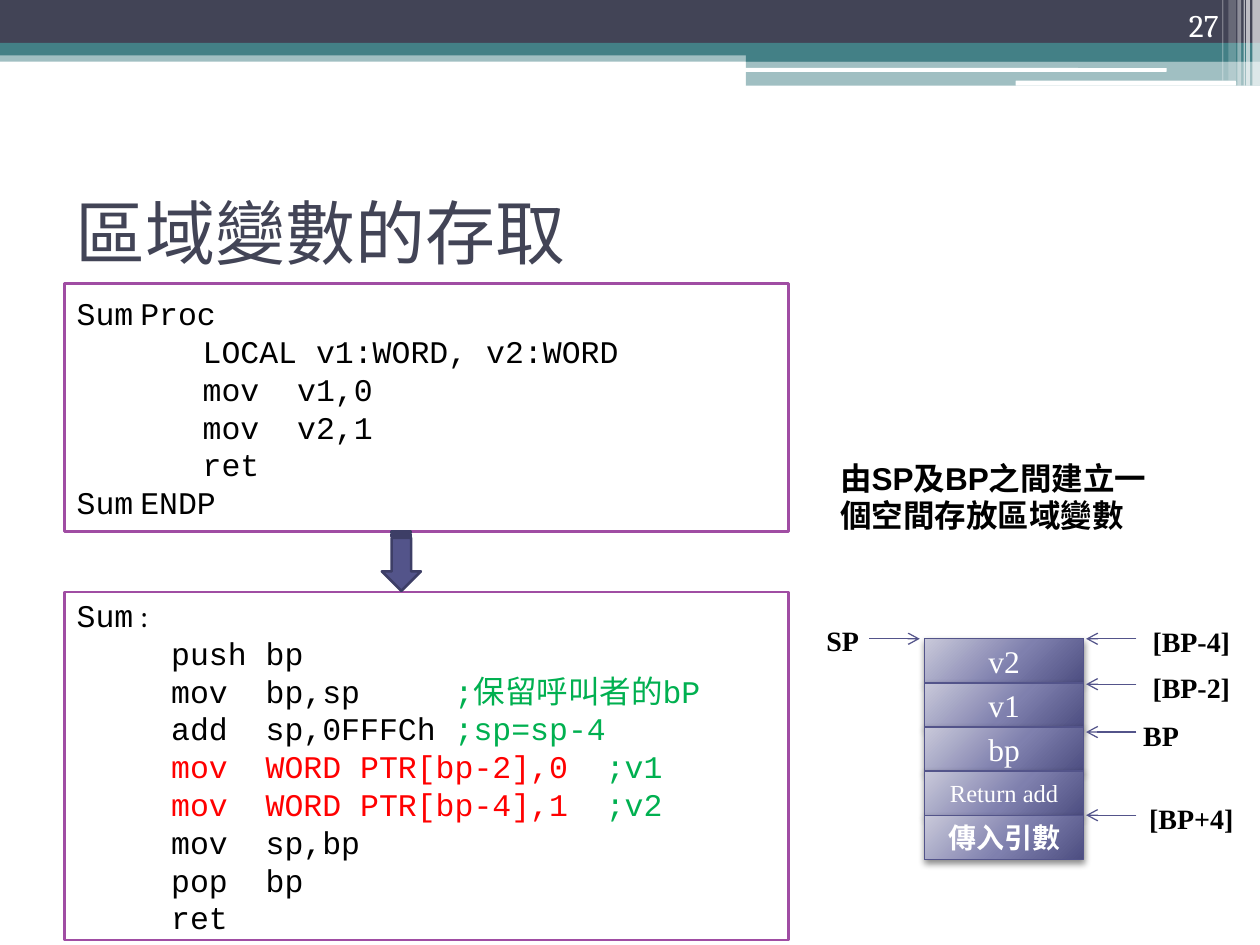
from typing import NamedTuple

from lxml.etree import SubElement
from pptx import Presentation
from pptx.dml.color import RGBColor
from pptx.enum.shapes import MSO_CONNECTOR, MSO_SHAPE
from pptx.enum.text import MSO_ANCHOR, PP_ALIGN
from pptx.oxml import parse_xml
from pptx.oxml.ns import nsdecls, qn
from pptx.util import Inches, Pt

COLORS = {
    "navy": "424456", "teal": "438086", "white": "FFFFFF", "black": "000000",
    "plum": "A04DA3", "red": "FF0000", "green": "00B050",
    "blue": "53548A", "edge": "3D3E66",
}
MONO, SERIF, TIMES = "Courier New", "Cambria", "Times New Roman"


class Bar(NamedTuple):
    x: float
    y: float
    w: float
    h: float
    color: str
    alpha: int = 100
    kind: MSO_SHAPE = MSO_SHAPE.RECTANGLE


class Cell(NamedTuple):
    text: str
    size: int = 18
    bold: bool = False


class Mark(NamedTuple):
    text: str
    y: float
    x: float = 9.02
    w: float = 0.87


class Part(NamedTuple):
    text: str
    color: str = "black"
    font: str = MONO


def tint(name: str) -> RGBColor:
    return RGBColor.from_string(COLORS[name])


def style(run, size: int, color: str, font: str, bold: bool = False) -> None:
    run.font.size, run.font.name, run.font.bold = Pt(size), font, bold
    run.font.color.rgb = tint(color)


def add_box(kind: MSO_SHAPE, x: float, y: float, w: float, h: float,
            color: str, edge: str = "", width: float = 1.5):
    box = slide.shapes.add_shape(kind, Inches(x), Inches(y), Inches(w), Inches(h))
    box.shadow.inherit = False
    box.fill.solid()
    box.fill.fore_color.rgb = tint(color)
    if edge:
        box.line.color.rgb = tint(edge)
        box.line.width = Pt(width)
    else:
        box.line.fill.background()
    return box


def add_bar(bar: Bar) -> None:
    box = add_box(bar.kind, bar.x, bar.y, bar.w, bar.h, bar.color)
    if bar.alpha < 100:
        hue = box.fill._xPr.find(".//" + qn("a:srgbClr"))
        SubElement(hue, qn("a:alpha"), val=str(bar.alpha * 1000))


def add_text(text: str, x: float, y: float, w: float, h: float, size: int,
             font: str, color: str = "black", bold: bool = True,
             align: PP_ALIGN = PP_ALIGN.LEFT, wrap: bool = False):
    frame = slide.shapes.add_textbox(
        Inches(x), Inches(y), Inches(w), Inches(h)).text_frame
    frame.word_wrap = wrap
    frame.text = text
    frame.paragraphs[0].alignment = align
    style(frame.paragraphs[0].runs[0], size, color, font, bold)
    return frame


def add_code(y: float, h: float, lines: list[list[Part]], stops: list[float]) -> None:
    frame = add_box(MSO_SHAPE.RECTANGLE, 0.51, y, 5.75, h, "white", "plum").text_frame
    frame.vertical_anchor = MSO_ANCHOR.MIDDLE
    for i, line in enumerate(lines):
        para = frame.add_paragraph() if i else frame.paragraphs[0]
        para.alignment = PP_ALIGN.LEFT
        para.line_spacing = Pt(21.6)
        # Comments after the long operands use the last stop
        far = any(part.color == "red" for part in line)
        tabs = SubElement(para._p.get_or_add_pPr(), qn("a:tabLst"))
        for stop in stops[:2] + (stops[3:] if far else stops[2:3]):
            SubElement(tabs, qn("a:tab"), pos=str(Inches(stop)), algn="l")
        for part in line:
            run = para.add_run()
            run.text = part.text
            style(run, 18, part.color, part.font)


def add_cell(cell: Cell, y: float) -> None:
    box = add_box(MSO_SHAPE.RECTANGLE, 7.34, y, 1.26, 0.35, "blue", "blue", 0.75)
    props = box._element.spPr
    stops = "".join(
        f'<a:gs pos="{pos}000"><a:srgbClr val="{hue}"/></a:gs>'
        for pos, hue in ((0, "C9C9DA"), (55, "7F80AE"), (100, "4D4E81")))
    props.replace(props.find(qn("a:solidFill")), parse_xml(
        f'<a:gradFill {nsdecls("a")} rotWithShape="1"><a:gsLst>{stops}</a:gsLst>'
        '<a:path path="circle"><a:fillToRect l="-40000" t="-90000" '
        'r="140000" b="190000"/></a:path></a:gradFill>'))
    glow = SubElement(props.find(qn("a:effectLst")), qn("a:outerShdw"),
                      blurRad=str(Pt(4)), dist=str(Pt(2)), dir="5400000",
                      algn="ctr", rotWithShape="0")
    SubElement(SubElement(glow, qn("a:srgbClr"), val=COLORS["black"]),
               qn("a:alpha"), val="45000")
    frame = box.text_frame
    frame.text = cell.text
    frame.vertical_anchor = MSO_ANCHOR.MIDDLE
    frame.paragraphs[0].alignment = PP_ALIGN.CENTER
    style(frame.paragraphs[0].runs[0], cell.size, "white", TIMES, cell.bold)


def add_arrow(start: float, end: float, y: float) -> None:
    line = slide.shapes.add_connector(
        MSO_CONNECTOR.STRAIGHT, Inches(start), Inches(y), Inches(end), Inches(y))
    line.line.color.rgb = tint("blue")
    line.line.width = Pt(0.75)
    SubElement(line.line._get_or_add_ln(), qn("a:tailEnd"), type="arrow")
    SubElement(line._element.spPr, qn("a:effectLst"))


deck = Presentation()
deck.slide_width, deck.slide_height = Inches(10), Inches(7.5)
slide = deck.slides.add_slide(deck.slide_layouts[5])

# Header bands and the pale stripes at the right
ROUND = MSO_SHAPE.ROUNDED_RECTANGLE
for bar in (
    Bar(0, 0.4, 10, 0.09, "teal", 50),
    Bar(0, 0, 10, 0.34, "navy"),
    Bar(0, 0.34, 10, 0.1, "teal"),
    Bar(5.92, 0.39, 4.08, 0.1, "teal"),
    Bar(5.92, 0.48, 4.08, 0.2, "teal", 50),
    Bar(5.91, 0.54, 3.35, 0.03, "white", kind=ROUND),
    Bar(8.06, 0.64, 1.75, 0.04, "white", kind=ROUND),
    Bar(9.94, 0, 0.06, 0.68, "white", 65),
    Bar(9.89, 0, 0.03, 0.68, "white", 65),
    Bar(9.87, 0, 0.01, 0.68, "white", 60),
    Bar(9.82, 0, 0.03, 0.68, "white", 40),
    Bar(9.75, 0, 0.06, 0.64, "white", 20),
    Bar(9.7, 0, 0.01, 0.64, "white", 30),
):
    add_bar(bar)

# Title and page number
title = slide.shapes.title
title.left, title.top = Inches(0.5), Inches(1.25)
title.width, title.height = Inches(9), Inches(1.17)
title.text_frame.text = "區域變數的存取"
title.text_frame.vertical_anchor = MSO_ANCHOR.MIDDLE
title.text_frame.paragraphs[0].alignment = PP_ALIGN.LEFT
style(title.text_frame.paragraphs[0].runs[0], 40, "navy", MONO)
page = add_text("27", 8.94, 0, 0.83, 0.4, 18, SERIF, "white", False,
                PP_ALIGN.RIGHT, True)
page.vertical_anchor = MSO_ANCHOR.BOTTOM

# Code before and after expansion
GAP = Part(" ", font=SERIF)
add_code(2.25, 1.97, [
    [Part("Sum"), GAP, Part("Proc")],
    [Part("\tLOCAL v1:WORD, v2:WORD")],
    [Part("\tmov\tv1,0")],
    [Part("\tmov\tv2,1")],
    [Part("\tret")],
    [Part("Sum"), GAP, Part("ENDP")],
], [1, 1.75])
add_code(4.7, 2.76, [
    [Part("Sum"), Part(" :", font=SERIF)],
    [Part("\tpush\tbp")],
    [Part("\tmov\tbp,sp"), Part("\t;保留呼叫者的bP", "green")],
    [Part("\tadd\tsp,0FFFCh"), Part("\t;sp=sp-4", "green")],
    [Part("\tmov\tWORD PTR[bp-2],0", "red"), Part("\t;v1", "green")],
    [Part("\tmov\tWORD PTR[bp-4],1", "red"), Part("\t;v2", "green")],
    [Part("\tmov\tsp,bp")],
    [Part("\tpop\tbp")],
    [Part("\tret")],
], [0.75, 1.5, 3, 4.2])
step = add_box(MSO_SHAPE.STRIPED_RIGHT_ARROW, 2.95, 4.3, 0.47, 0.31, "blue", "edge")
step.rotation = 90

# Note above the stack
add_text("由SP及BP之間建立一個空間存放區域變數", 6.57, 3.59, 2.84, 0.71,
         18, "Arial", wrap=True)

# Stack cells, top to bottom
cells = [Cell("v2"), Cell("v1"), Cell("bp"), Cell("Return add", 14),
         Cell("傳入引數", 16, True)]
for i, cell in enumerate(cells):
    add_cell(cell, 5.07 + 0.35 * i)

# Pointers into the stack
add_arrow(6.9, 7.3, 5.07)
add_text("SP", 6.46, 4.9, 0.47, 0.37, 16, TIMES)
for mark in (Mark("[BP-4]", 5.07), Mark("[BP-2]", 5.43),
             Mark("BP", 5.81, 8.86, 0.71), Mark("[BP+4]", 6.47)):
    add_arrow(9.02, 8.62, mark.y)
    add_text(mark.text, mark.x, mark.y - 0.16, mark.w, 0.37, 16, TIMES,
             align=PP_ALIGN.CENTER)

deck.save("out.pptx")
